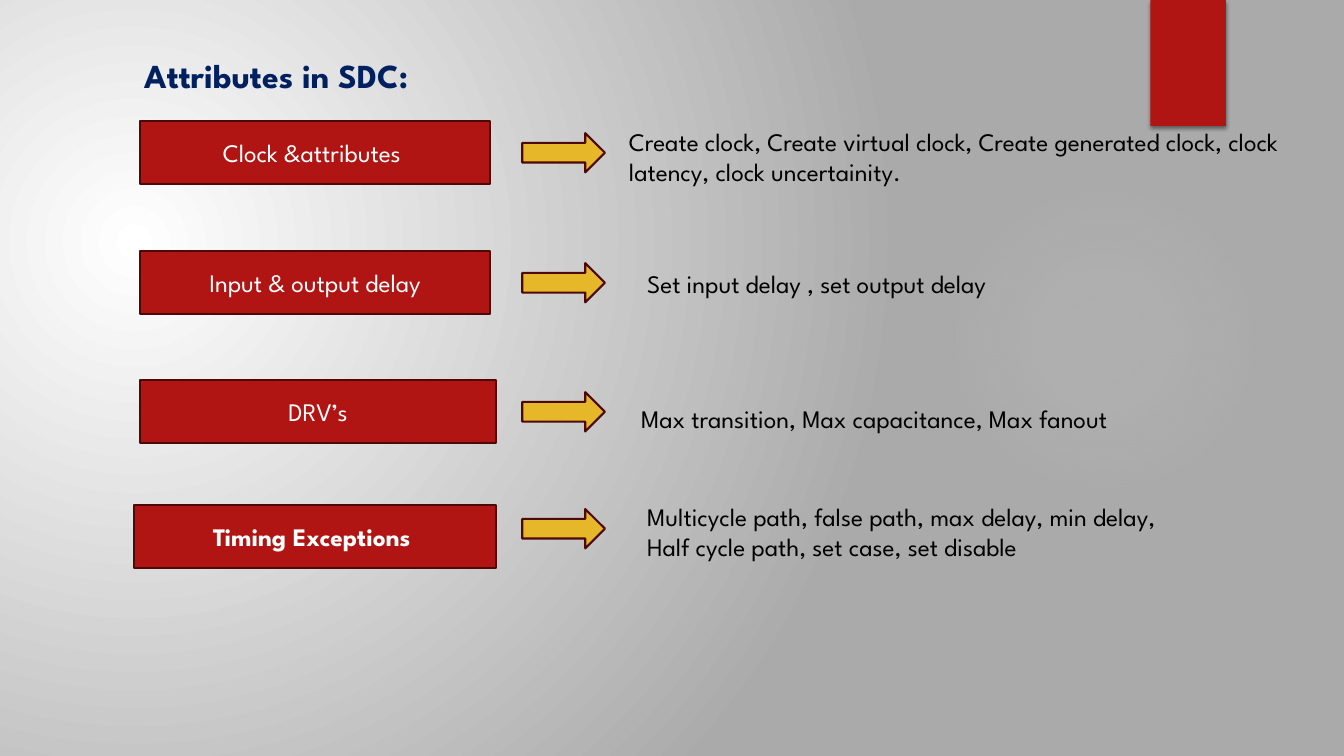
from lxml import etree
from pptx import Presentation
from pptx.dml.color import RGBColor
from pptx.enum.shapes import MSO_SHAPE as Shape
from pptx.enum.text import MSO_ANCHOR as Anchor, MSO_AUTO_SIZE as AutoSize, PP_ALIGN as Align
from pptx.oxml import parse_xml
from pptx.oxml.ns import nsdecls, qn
from pptx.util import Inches, Pt

FONT = "League Spartan"
RED, GOLD, MAROON, NAVY = "B01513", "E6B729", "4D0908", "002060"
WHITE, BLACK = "FFFFFF", "000000"

TITLE = "Attributes in SDC:"
# label, label box (left, top, width), arrow top, details, details box (left, top, width, height)
ROWS = [
    ("Clock &attributes ", (1.39, 1.2, 3.47), 1.32,
     "Create clock, Create virtual clock, Create generated clock, clock latency, clock uncertainity.",
     (6.14, 1.2, 6.87, 0.71)),
    ("Input & output delay", (1.39, 2.49, 3.47), 2.61,
     "Set input delay , set output delay", (6.32, 2.61, 6.46, 0.4)),
    ("DRV’s", (1.39, 3.77, 3.53), 3.89,
     "Max transition, Max capacitance, Max fanout", (6.26, 3.95, 6.33, 0.4)),
    ("Timing Exceptions ", (1.33, 5.01, 3.59), 5.05,
     "Multicycle path, false path, max delay, min delay,\nHalf cycle path, set case, set disable",
     (6.32, 4.92, 6.27, 0.71)),
]
BOLD_LABEL = "Timing Exceptions "
LABEL_HEIGHT = 0.63
ARROW_LEFT, ARROW_WIDTH, ARROW_HEIGHT = 5.18, 0.82, 0.39


def color(hex_value):
    return RGBColor.from_string(hex_value)


def set_radial_fill(owner, stops, focus):
    """Replace the solid fill of owner; stops are (position, colour, opacity) in percent."""
    stop_xml = "".join(
        f'<a:gs pos="{position * 1000}"><a:srgbClr val="{tint}">'
        f'<a:alpha val="{opacity * 1000}"/></a:srgbClr></a:gs>'
        for position, tint, opacity in stops)
    sides = " ".join(f'{side}="{value * 1000}"' for side, value in zip("ltrb", focus))
    gradient = parse_xml(
        f'<a:gradFill {nsdecls("a")} rotWithShape="1"><a:gsLst>{stop_xml}</a:gsLst>'
        f'<a:path path="circle"><a:fillToRect {sides}/></a:path></a:gradFill>')
    solid = owner.find(".//" + qn("a:solidFill"))
    solid.getparent().replace(solid, gradient)


def add_block(page, kind, place, fill, line=None):
    block = page.shapes.add_shape(kind, *map(Inches, place))
    block.shadow.inherit = False
    block.fill.solid()
    block.fill.fore_color.rgb = color(fill)
    if line:
        block.line.color.rgb = color(line)
        block.line.width = Pt(1.5)
    else:
        block.line.fill.background()
    return block


def write(box, text, tint, size=18, bold=False, align=Align.LEFT, anchor=Anchor.TOP):
    frame = box.text_frame
    frame.text = text
    frame.word_wrap = True
    frame.auto_size = AutoSize.NONE
    frame.vertical_anchor = anchor
    for para in frame.paragraphs:
        para.alignment = align
        for span in para.runs:
            span.font.name = FONT
            span.font.size = Pt(size)
            span.font.bold = bold
            span.font.color.rgb = color(tint)


def add_backdrop(page):
    page.background.fill.solid()
    page.background.fill.fore_color.rgb = color(WHITE)
    background = page.element.find(".//" + qn("p:bg"))
    set_radial_fill(background, [(0, WHITE, 100), (100, "AAAAAA", 100)], (45, 65, 125, 100))

    glow = add_block(page, Shape.OVAL, (9.41, 1.83, 3.08, 3.08), "F3F3F3")
    set_radial_fill(glow.element.spPr,
                    [(0, "F3F3F3", 7), (36, "F3F3F3", 6), (69, "F3F3F3", 0)],
                    (50, 50, 50, 50))

    tab = add_block(page, Shape.RECTANGLE, (11.41, 0, 0.75, 1.25), RED)
    effects = tab.element.spPr.find(qn("a:effectLst"))
    shadow = etree.SubElement(effects, qn("a:outerShdw"), blurRad=str(Pt(3)),
                              dist=str(Pt(2)), dir=str(90 * 60000), rotWithShape="0")
    shade = etree.SubElement(shadow, qn("a:srgbClr"), val=BLACK)
    etree.SubElement(shade, qn("a:alpha"), val="45000")


def add_row(page, label, label_place, arrow_top, details, details_place):
    box = add_block(page, Shape.RECTANGLE, (*label_place, LABEL_HEIGHT), RED, MAROON)
    write(box, label, WHITE, bold=label == BOLD_LABEL, align=Align.CENTER, anchor=Anchor.MIDDLE)
    add_block(page, Shape.RIGHT_ARROW, (ARROW_LEFT, arrow_top, ARROW_WIDTH, ARROW_HEIGHT),
              GOLD, MAROON)
    write(page.shapes.add_textbox(*map(Inches, details_place)), details, BLACK)


def main():
    deck = Presentation()
    deck.slide_width, deck.slide_height = Inches(13.33), Inches(7.5)
    page = deck.slides.add_slide(deck.slide_layouts[5])
    add_backdrop(page)
    for row in ROWS:
        add_row(page, *row)
    title = page.shapes.title
    title.left, title.top, title.width, title.height = map(Inches, (1.33, 0.49, 9.51, 0.5))
    write(title, TITLE, NAVY, size=24, bold=True)
    deck.save("out.pptx")


if __name__ == "__main__":
    main()
